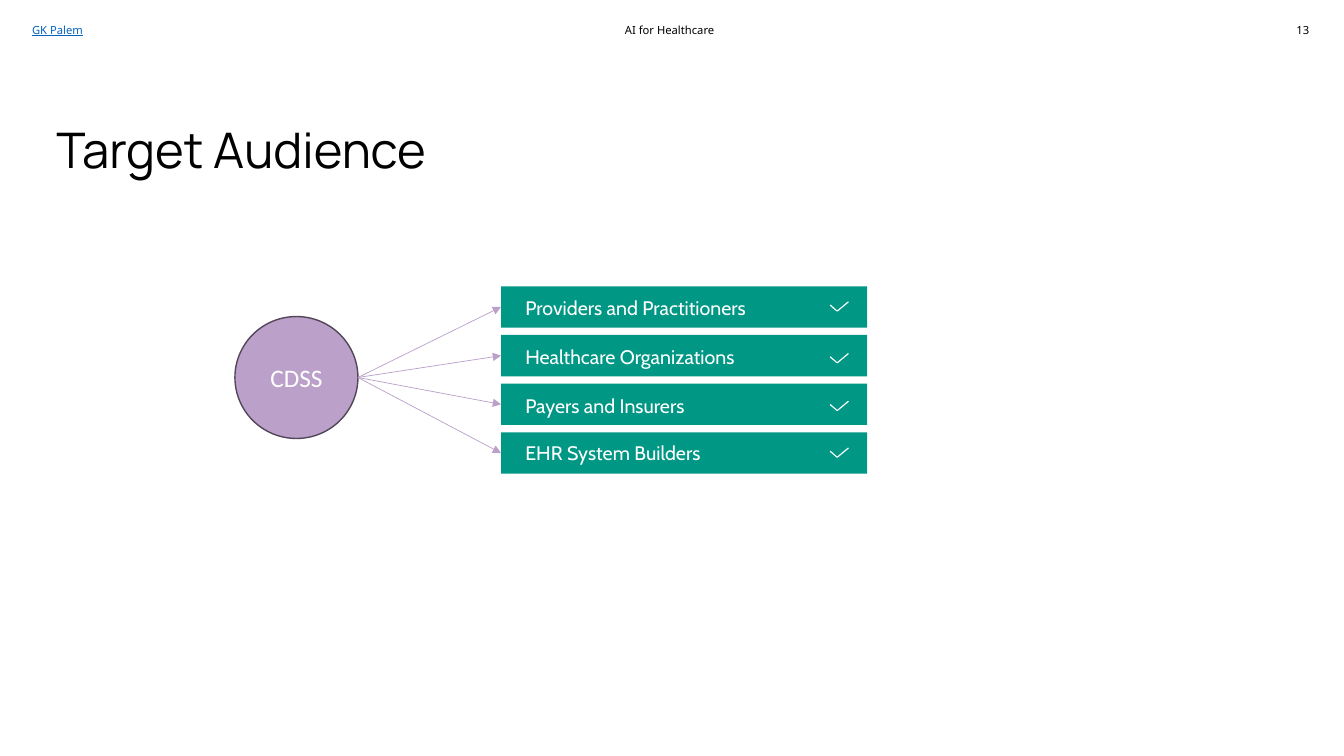
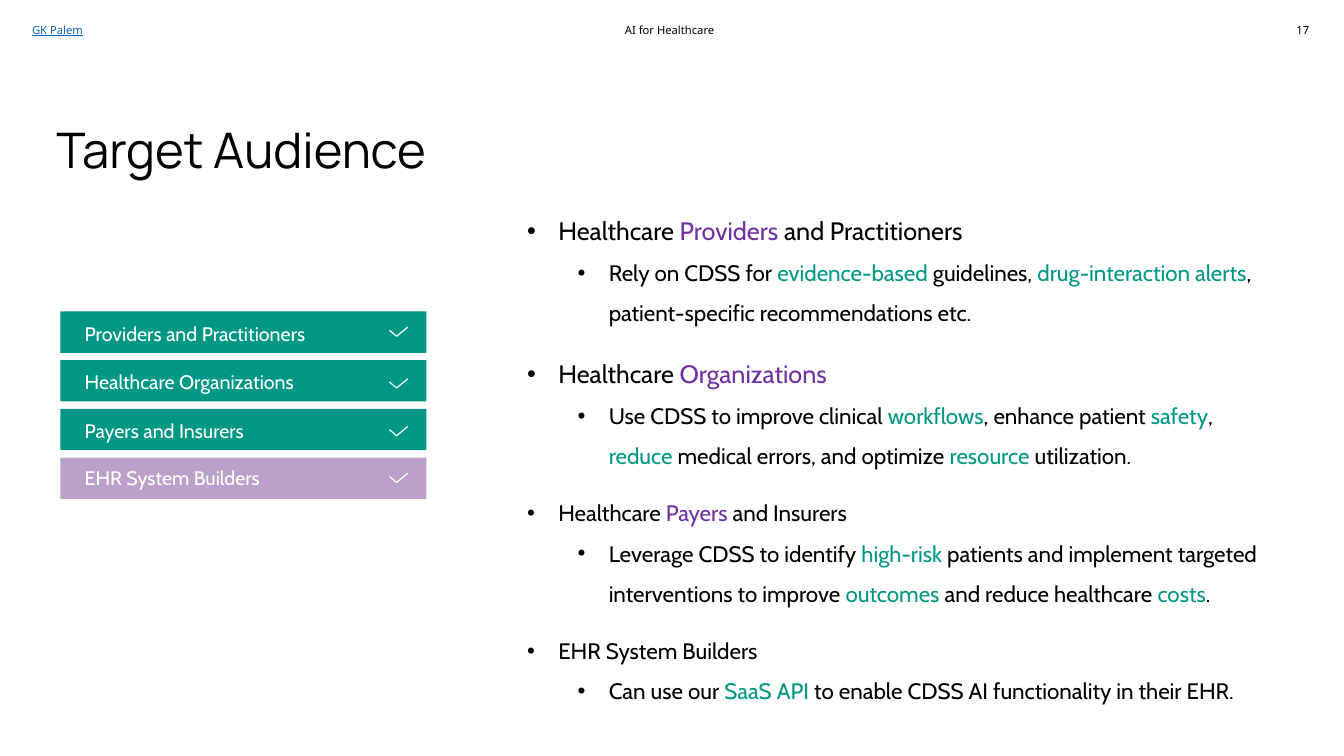
from dataclasses import dataclass

from lxml import etree
from pptx import Presentation
from pptx.dml.color import RGBColor
from pptx.enum import shapes, text
from pptx.oxml import ns
from pptx.util import Inches, Pt


@dataclass(frozen=True)
class Theme:
    black: RGBColor = RGBColor(0x00, 0x00, 0x00)
    white: RGBColor = RGBColor(0xFF, 0xFF, 0xFF)
    teal: RGBColor = RGBColor(0x00, 0x97, 0x85)
    lilac: RGBColor = RGBColor(0xBB, 0xA0, 0xC9)
    plum: RGBColor = RGBColor(0x52, 0x46, 0x58)
    violet: RGBColor = RGBColor(0x70, 0x30, 0xA0)
    link: RGBColor = RGBColor(0x05, 0x63, 0xC1)
    title_font: str = "Manrope"
    body_font: str = "Cabin"
    header_font: str = "Noto Sans"
    hub_font: str = "Calibri"
    title_size: int = 35
    large_size: int = 18
    body_size: int = 16
    label_size: int = 14
    header_size: int = 8


THEME = Theme()


@dataclass(frozen=True)
class Audience:
    label: str
    label_drop: float  # label top below bar top
    tick_drop: float  # tick top below bar top


@dataclass(frozen=True)
class Topic:
    """Heading and detail; words between asterisks are accented."""
    heading: str
    detail: str
    heading_size: int


AUDIENCES = (
    Audience("Providers and Practitioners", 0.04, 0.15),
    Audience("Healthcare Organizations", 0.04, 0.18),
    Audience("Payers and Insurers", 0.04, 0.17),
    Audience("EHR System Builders", 0.02, 0.15),
)

TOPICS = (
    Topic("Healthcare *Providers* and Practitioners",
          "Rely on CDSS for *evidence-based* guidelines, *drug-interaction alerts*, "
          "patient-specific recommendations etc.", THEME.large_size),
    Topic("Healthcare *Organizations*",
          "Use CDSS to improve clinical *workflows*, enhance patient *safety*, "
          "*reduce* medical errors, and optimize *resource* utilization.",
          THEME.large_size),
    Topic("Healthcare *Payers* and Insurers",
          "Leverage CDSS to identify *high-risk *patients and implement targeted "
          "interventions to improve *outcomes* and reduce healthcare *costs*.",
          THEME.body_size),
    Topic("EHR System Builders",
          "Can use our *SaaS API *to enable CDSS AI functionality in their EHR.",
          THEME.body_size),
)

BAR_WIDTH, BAR_HEIGHT = 3.63, 0.41
BAR_PITCH = 1.45 / 3
# Tick outline in thousandths of an inch
TICK = ((70, 100), (0, 42), (8, 32), (74, 90), (182, 0), (190, 8), (80, 100))


def style(font, name: str, size: int, color: RGBColor) -> None:
    font.name, font.size = name, Pt(size)
    font.color.rgb = color


def add_text(slide, left: float, top: float, width: float, height: float,
             wrap: bool = True, inset: float | None = None):
    """Add an empty text box and return its text frame."""
    box = slide.shapes.add_textbox(
        Inches(left), Inches(top), Inches(width), Inches(height))
    frame = box.text_frame
    frame.word_wrap = wrap
    frame.auto_size = text.MSO_AUTO_SIZE.SHAPE_TO_FIT_TEXT
    if inset is not None:
        frame.margin_left = frame.margin_right = Inches(inset)
        frame.margin_top = frame.margin_bottom = Inches(inset)
    return frame


def fill_plain(shape, color: RGBColor) -> None:
    shape.shadow.inherit = False
    shape.fill.solid()
    shape.fill.fore_color.rgb = color
    shape.line.fill.background()


def add_base_slide(presentation, title: str, number: int):
    """Add a slide with the running header and the title."""
    slide = presentation.slides.add_slide(presentation.slide_layouts[5])
    headers = (("GK Palem", 0.22, 0.73, THEME.link),
               ("AI for Healthcare", 6.1, 1.13, THEME.black),
               (str(number), 12.76, 0.35, THEME.black))
    for words, left, width, color in headers:
        paragraph = add_text(slide, left, 0.18, width, 0.24, wrap=False).paragraphs[0]
        paragraph.text = words
        style(paragraph.font, THEME.header_font, THEME.header_size, color)
        paragraph.font.underline = color == THEME.link

    heading = slide.shapes.title
    heading.left, heading.top = Inches(0.46), Inches(1.14)
    heading.width, heading.height = Inches(3.93), Inches(1.28)
    frame = heading.text_frame
    frame.text = title
    frame.vertical_anchor = text.MSO_ANCHOR.TOP
    frame.auto_size = text.MSO_AUTO_SIZE.NONE
    paragraph = frame.paragraphs[0]
    paragraph.alignment = text.PP_ALIGN.LEFT
    style(paragraph.font, THEME.title_font, THEME.title_size, THEME.black)
    return slide


def add_audience_bars(slide, left: float, top: float, colors: list[RGBColor]) -> list:
    """Stack one ticked bar per audience and return the bars."""
    bars = []
    for index, (audience, color) in enumerate(zip(AUDIENCES, colors)):
        bar_top = top + index * BAR_PITCH
        bar = slide.shapes.add_shape(
            shapes.MSO_SHAPE.RECTANGLE, Inches(left), Inches(bar_top),
            Inches(BAR_WIDTH), Inches(BAR_HEIGHT))
        fill_plain(bar, color)
        bars.append(bar)

        paragraph = add_text(slide, left + 0.18, bar_top + audience.label_drop,
                             2.55, 0.35, inset=0.06).paragraphs[0]
        paragraph.text = audience.label
        style(paragraph.font, THEME.body_font, THEME.label_size, THEME.white)

        builder = slide.shapes.build_freeform(*TICK[0], scale=Inches(0.001))
        builder.add_line_segments(TICK[1:], close=True)
        tick = builder.convert_to_shape(
            Inches(left + 3.26), Inches(bar_top + audience.tick_drop))
        fill_plain(tick, THEME.white)
    return bars


def add_hub(slide):
    hub = slide.shapes.add_shape(shapes.MSO_SHAPE.OVAL, Inches(2.33), Inches(3.14),
                                 Inches(1.22), Inches(1.21))
    fill_plain(hub, THEME.lilac)
    hub.line.color.rgb = THEME.plum
    hub.line.width = Pt(1)
    frame = hub.text_frame
    frame.text = "CDSS"
    frame.vertical_anchor = text.MSO_ANCHOR.MIDDLE
    paragraph = frame.paragraphs[0]
    paragraph.alignment = text.PP_ALIGN.CENTER
    style(paragraph.font, THEME.hub_font, THEME.large_size, THEME.white)
    return hub


def add_arrow(slide, hub, bar) -> None:
    """Draw an arrow from the hub's right edge to the bar's left side."""
    start_x, start_y = hub.left + hub.width, hub.top + hub.height // 2
    arrow = slide.shapes.add_connector(
        shapes.MSO_CONNECTOR.STRAIGHT, start_x, start_y, bar.left, bar.top)
    arrow.end_connect(bar, 1)
    arrow.line.color.rgb = THEME.lilac
    arrow.line.width = Pt(0.5)
    line = arrow.line._get_or_add_ln()
    etree.SubElement(line, ns.qn("a:tailEnd"), type="triangle")
    etree.SubElement(arrow._element.spPr, ns.qn("a:effectLst"))


def add_bullet(paragraph, words: str, level: int, size: int) -> None:
    paragraph.level = level
    paragraph.line_spacing = 1.5
    paragraph.space_before = Pt(0)
    paragraph.space_after = Pt(12 * level)
    properties = paragraph._p.get_or_add_pPr()
    properties.set("marL", str(Inches(0.31 + 0.5 * level)))
    properties.set("indent", str(Inches(-0.31)))
    etree.SubElement(properties, ns.qn("a:buFont"), typeface="Arial")
    etree.SubElement(properties, ns.qn("a:buChar"), char="•")
    style(paragraph.font, THEME.body_font, size, THEME.black)
    accent = THEME.teal if level else THEME.violet
    for index, part in enumerate(words.split("*")):
        if part:
            run = paragraph.add_run()
            run.text = part
            if index % 2:
                run.font.color.rgb = accent


def build_overview(presentation) -> None:
    slide = add_base_slide(presentation, "Target Audience", 13)
    bars = add_audience_bars(slide, 4.97, 2.84, [THEME.teal] * 4)
    hub = add_hub(slide)
    for bar in bars:
        add_arrow(slide, hub, bar)


def build_details(presentation) -> None:
    slide = add_base_slide(presentation, "Target Audience", 17)
    frame = add_text(slide, 5.13, 1.94, 7.6, 5.11)
    for index, topic in enumerate(TOPICS):
        heading = frame.add_paragraph() if index else frame.paragraphs[0]
        add_bullet(heading, topic.heading, 0, topic.heading_size)
        add_bullet(frame.add_paragraph(), topic.detail, 1, THEME.body_size)
    add_audience_bars(slide, 0.6, 3.09, [THEME.teal] * 3 + [THEME.lilac])


def main() -> None:
    presentation = Presentation()
    presentation.slide_width, presentation.slide_height = Inches(13.33), Inches(7.5)
    build_overview(presentation)
    build_details(presentation)
    presentation.save("out.pptx")


if __name__ == "__main__":
    main()
